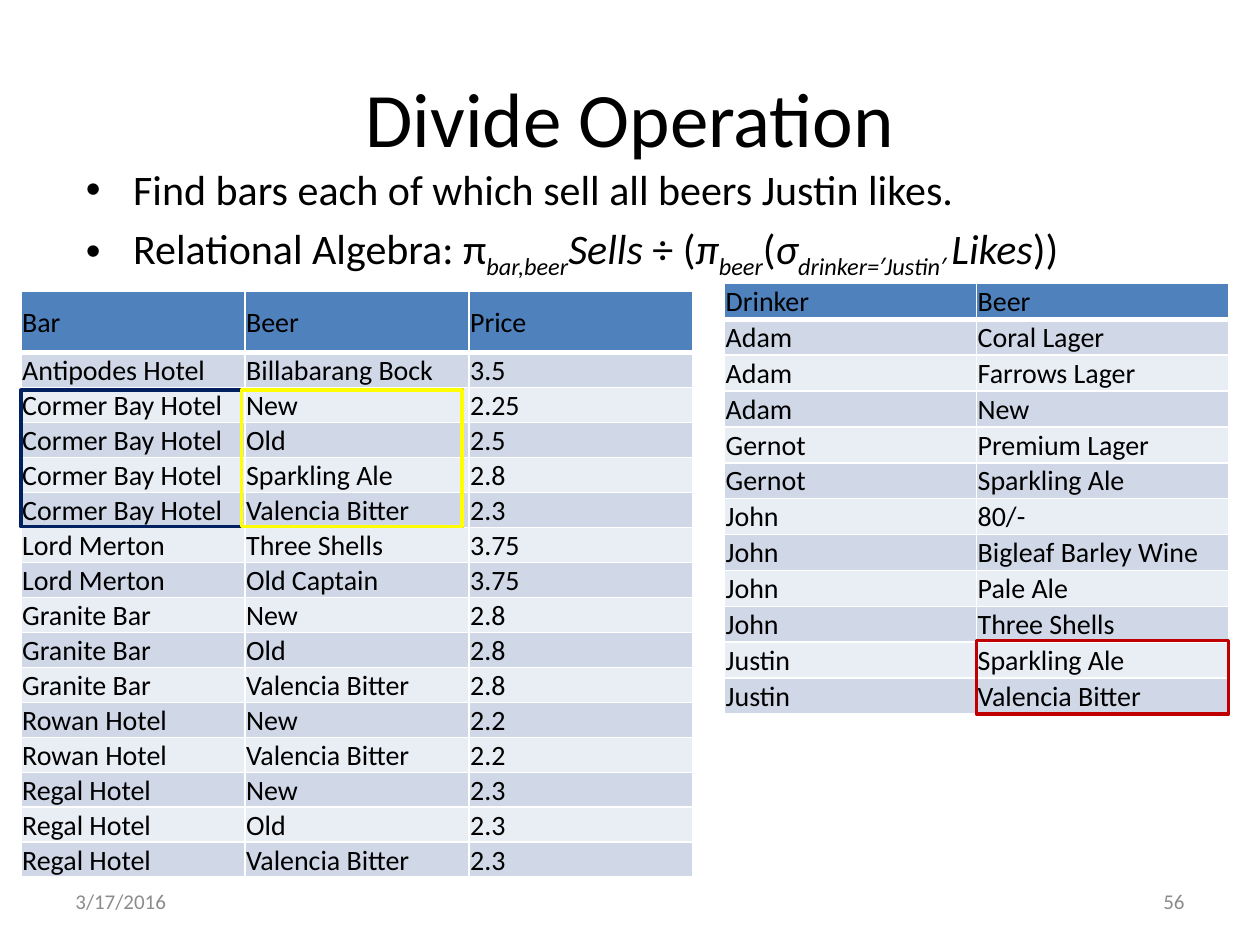
from pptx import Presentation
from pptx.dml.color import RGBColor
from pptx.enum.shapes import MSO_SHAPE
from pptx.enum.text import MSO_ANCHOR, PP_ALIGN
from pptx.oxml import parse_xml
from pptx.oxml.ns import nsdecls
from pptx.util import Pt

RECTANGLE = MSO_SHAPE.RECTANGLE
TOP, MIDDLE = MSO_ANCHOR.TOP, MSO_ANCHOR.MIDDLE
LEFT, CENTER, RIGHT = PP_ALIGN.LEFT, PP_ALIGN.CENTER, PP_ALIGN.RIGHT

FONT = "Calibri"
BLACK, GRAY, WHITE = "000000", "8C8C8C", "FFFFFF"
HEADER_FILL = "4F81BD"
BAND_FILLS = ["E9EDF4", "D0D8E8"]
PLAIN, ITALIC, SUBSCRIPT = (False, 0), (True, 0), (True, -25000)

BULLETS = [
    [("Find bars each of which sell all beers Justin likes.", PLAIN)],
    [
        ("Relational Algebra: π", PLAIN),
        ("bar,beer", SUBSCRIPT),
        ("Sells ", ITALIC),
        ("÷ (", PLAIN),
        ("π", ITALIC),
        ("beer", SUBSCRIPT),
        ("(", PLAIN),
        ("σ", ITALIC),
        ("drinker=′Justin′ ", SUBSCRIPT),
        ("Likes", ITALIC),
        ("))", PLAIN),
    ],
]

SELLS = [
    ("Bar", "Beer", "Price"),
    ("Antipodes Hotel", "Billabarang Bock", "3.5"),
    ("Cormer Bay Hotel", "New", "2.25"),
    ("Cormer Bay Hotel", "Old", "2.5"),
    ("Cormer Bay Hotel", "Sparkling Ale", "2.8"),
    ("Cormer Bay Hotel", "Valencia Bitter", "2.3"),
    ("Lord Merton", "Three Shells", "3.75"),
    ("Lord Merton", "Old Captain", "3.75"),
    ("Granite Bar", "New", "2.8"),
    ("Granite Bar", "Old", "2.8"),
    ("Granite Bar", "Valencia Bitter", "2.8"),
    ("Rowan Hotel", "New", "2.2"),
    ("Rowan Hotel", "Valencia Bitter", "2.2"),
    ("Regal Hotel", "New", "2.3"),
    ("Regal Hotel", "Old", "2.3"),
    ("Regal Hotel", "Valencia Bitter", "2.3"),
]

LIKES = [
    ("Drinker", "Beer"),
    ("Adam", "Coral Lager"),
    ("Adam", "Farrows Lager"),
    ("Adam", "New"),
    ("Gernot", "Premium Lager"),
    ("Gernot", "Sparkling Ale"),
    ("John", "80/-"),
    ("John", "Bigleaf Barley Wine"),
    ("John", "Pale Ale"),
    ("John", "Three Shells"),
    ("Justin", "Sparkling Ale"),
    ("Justin", "Valencia Bitter"),
]


def color(value):
    return RGBColor.from_string(value)


def add_run(paragraph, text, size, text_color=BLACK, style=PLAIN):
    italic, baseline = style
    run = paragraph.add_run()
    run.text = text
    run.font.name = FONT
    run.font.size = Pt(size)
    run.font.italic = italic
    run.font.color.rgb = color(text_color)
    if baseline:
        run._r.get_or_add_rPr().set("baseline", str(baseline))


def add_text_frame(slide, left, top, width, height, anchor):
    box = slide.shapes.add_textbox(Pt(left), Pt(top), Pt(width), Pt(height))
    box.text_frame.word_wrap = True
    box.text_frame.vertical_anchor = anchor
    return box.text_frame


def add_label(slide, bounds, text, size, text_color, alignment):
    paragraph = add_text_frame(slide, *bounds, MIDDLE).paragraphs[0]
    paragraph.alignment = alignment
    add_run(paragraph, text, size, text_color)


def add_bullets(slide, bounds, items):
    frame = add_text_frame(slide, *bounds, TOP)
    for index, runs in enumerate(items):
        paragraph = frame.add_paragraph() if index else frame.paragraphs[0]
        properties = paragraph._p.get_or_add_pPr()
        properties.set("marL", str(Pt(27)))
        properties.set("indent", str(Pt(-27)))
        properties.append(parse_xml(f'<a:buFont {nsdecls("a")} typeface="Arial"/>'))
        properties.append(parse_xml(f'<a:buChar {nsdecls("a")} char="•"/>'))
        if index:
            paragraph.space_before = Pt(4.8)
        for text, style in runs:
            add_run(paragraph, text, 24, style=style)


def set_borders(cell, row_index):
    widths = {"L": 1, "R": 1, "T": 3 if row_index == 1 else 1, "B": 3 if row_index == 0 else 1}
    for side, width in widths.items():
        cell._tc.get_or_add_tcPr().append(parse_xml(
            f'<a:ln{side} {nsdecls("a")} w="{Pt(width)}"><a:solidFill>'
            f'<a:srgbClr val="{WHITE}"/></a:solidFill></a:ln{side}>'))


def fill_cell(cell, text, row_index):
    set_borders(cell, row_index)
    cell.fill.solid()
    cell.fill.fore_color.rgb = color(BAND_FILLS[row_index % 2] if row_index else HEADER_FILL)
    cell.margin_left = cell.margin_right = cell.margin_top = Pt(0.72)
    cell.margin_bottom = Pt(0)
    cell.vertical_anchor = MIDDLE
    add_run(cell.text_frame.paragraphs[0], text, 16)


def add_relation(slide, left, top, width, rows, header_height, row_height):
    height = header_height + row_height * (len(rows) - 1)
    table = slide.shapes.add_table(
        len(rows), len(rows[0]), Pt(left), Pt(top), Pt(width), Pt(height)).table
    table.first_row = table.horz_banding = False
    for row_index, values in enumerate(rows):
        table.rows[row_index].height = Pt(row_height if row_index else header_height)
        for column_index, text in enumerate(values):
            fill_cell(table.cell(row_index, column_index), text, row_index)


def add_outline(slide, left, top, width, height, line_color):
    shape = slide.shapes.add_shape(RECTANGLE, Pt(left), Pt(top), Pt(width), Pt(height))
    shape.shadow.inherit = False
    shape.fill.background()
    shape.line.color.rgb = color(line_color)
    shape.line.width = Pt(2)


def main():
    presentation = Presentation()
    presentation.slide_width, presentation.slide_height = Pt(720), Pt(540)
    slide = presentation.slides.add_slide(presentation.slide_layouts[6])
    add_label(slide, (36, 21.6, 648, 90), "Divide Operation", 44, BLACK, CENTER)
    add_bullets(slide, (42, 90, 648, 84), BULLETS)
    add_label(slide, (36, 500.5, 168, 28.75), "3/17/2016", 12, GRAY, LEFT)
    add_label(slide, (516, 500.5, 168, 28.75), "56", 12, GRAY, RIGHT)
    add_relation(slide, 12, 166.5, 384, SELLS, 35, 20)
    add_relation(slide, 414, 162, 288, LIKES, 20.5, 20.5)
    add_outline(slide, 558, 366, 144, 42, "C00000")
    add_outline(slide, 12, 223, 252, 78, "002060")
    add_outline(slide, 138, 223, 126, 78, "FFFF00")
    presentation.save("out.pptx")


if __name__ == "__main__":
    main()
